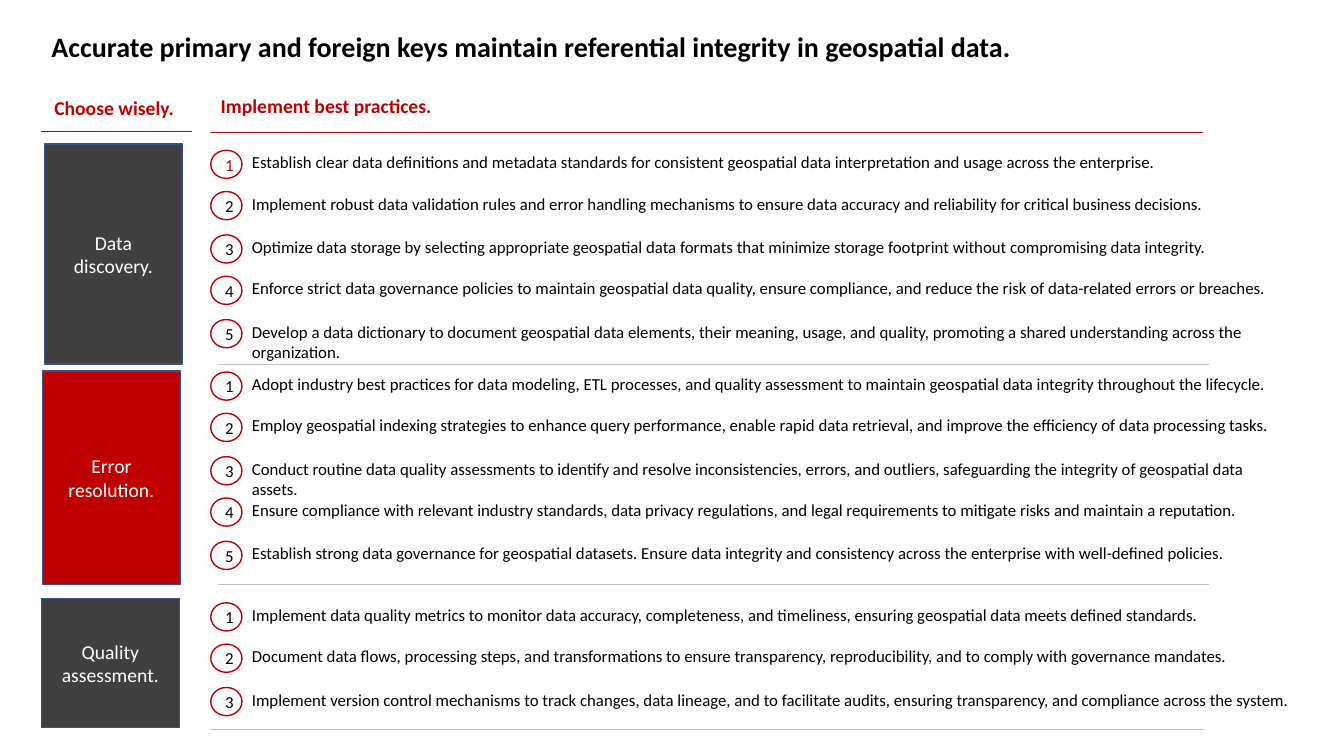
from pptx import Presentation
from pptx.dml.color import RGBColor
from pptx.enum.shapes import MSO_CONNECTOR, MSO_SHAPE
from pptx.enum.text import MSO_ANCHOR, MSO_AUTO_SIZE, PP_ALIGN
from pptx.oxml.ns import qn
from pptx.util import Inches, Pt

RECT, OVAL = MSO_SHAPE.RECTANGLE, MSO_SHAPE.OVAL
STRAIGHT = MSO_CONNECTOR.STRAIGHT
TOP, MIDDLE = MSO_ANCHOR.TOP, MSO_ANCHOR.MIDDLE
LEFT, CENTER = PP_ALIGN.LEFT, PP_ALIGN.CENTER
GROW = MSO_AUTO_SIZE.SHAPE_TO_FIT_TEXT

COLORS = {"red": "C00000", "dark": "404040", "edge": "325491",
          "rule": "BFBFBF", "black": "000000", "white": "FFFFFF"}

# Content
TITLE = "Accurate primary and foreign keys maintain referential integrity in geospatial data."
HEADS = [  # text, box, rule (left, right, top)
    ("Choose wisely.", (0.44, 0.9, 1.66, 0.34), (0.41, 1.9, 1.3)),
    ("Implement best practices.", (2.09, 0.88, 9.96, 0.34), (2.09, 11.93, 1.31)),
]
GROUPS = [
    {"name": "Data discovery.", "fill": "dark", "box": (0.44, 1.43, 1.37, 2.18),
     "first": 1.49, "rule": (2.16, 11.99, 3.61), "items": [
        "Establish clear data definitions and metadata standards for consistent geospatial data interpretation and usage across the enterprise.",
        "Implement robust data validation rules and error handling mechanisms to ensure data accuracy and reliability for critical business decisions.",
        "Optimize data storage by selecting appropriate geospatial data formats that minimize storage footprint without compromising data integrity.",
        "Enforce strict data governance policies to maintain geospatial data quality, ensure compliance, and reduce the risk of data-related errors or breaches.",
        "Develop a data dictionary to document geospatial data elements, their meaning, usage, and quality, promoting a shared understanding across the organization.",
     ]},
    {"name": "Error resolution.", "fill": "red", "box": (0.42, 3.68, 1.37, 2.12),
     "first": 3.69, "rule": (2.16, 11.99, 5.8), "items": [
        "Adopt industry best practices for data modeling, ETL processes, and quality assessment to maintain geospatial data integrity throughout the lifecycle.",
        "Employ geospatial indexing strategies to enhance query performance, enable rapid data retrieval, and improve the efficiency of data processing tasks.",
        "Conduct routine data quality assessments to identify and resolve inconsistencies, errors, and outliers, safeguarding the integrity of geospatial data assets.",
        "Ensure compliance with relevant industry standards, data privacy regulations, and legal requirements to mitigate risks and maintain a reputation.",
        "Establish strong data governance for geospatial datasets. Ensure data integrity and consistency across the enterprise with well-defined policies.",
     ]},
    {"name": "Quality assessment.", "fill": "dark", "box": (0.41, 5.94, 1.37, 1.28),
     "first": 5.98, "rule": (2.09, 11.93, 7.24), "items": [
        "Implement data quality metrics to monitor data accuracy, completeness, and timeliness, ensuring geospatial data meets defined standards.",
        "Document data flows, processing steps, and transformations to ensure transparency, reproducibility, and to comply with governance mandates.",
        "Implement version control mechanisms to track changes, data lineage, and to facilitate audits, ensuring transparency, and compliance across the system.",
     ]},
]
STEPS = (0, 0.41, 0.84, 1.25, 1.68)  # row offsets inside a group


def color(name):
    return RGBColor.from_string(COLORS[name])


def write(shape, text, size, ink, bold=False, align=LEFT, anchor=TOP):
    frame = shape.text_frame
    frame.text = text
    frame.word_wrap = True
    frame.vertical_anchor = anchor
    para = frame.paragraphs[0]
    para.alignment = align
    font = para.runs[0].font
    font.name, font.size, font.bold = "Calibri", Pt(size), bold
    font.color.rgb = color(ink)


def add_text(slide, box, text, size, ink, bold=False):
    shape = slide.shapes.add_textbox(*map(Inches, box))
    write(shape, text, size, ink, bold)
    shape.text_frame.auto_size = GROW


def add_block(slide, kind, box, fill, edge, text, size, ink):
    shape = slide.shapes.add_shape(kind, *map(Inches, box))
    shape.shadow.inherit = False
    shape.fill.solid()
    shape.fill.fore_color.rgb = color(fill)
    shape.line.color.rgb = color(edge)
    shape.line.width = Pt(1)
    write(shape, text, size, ink, align=CENTER, anchor=MIDDLE)


def add_rule(slide, span, ink):
    left, right, top = map(Inches, span)
    rule = slide.shapes.add_connector(STRAIGHT, left, top, right, top)
    rule.line.color.rgb = color(ink)
    rule.line.width = Pt(0.5)
    props = rule._element.spPr
    props.append(props.makeelement(qn("a:effectLst"), {}))


def main():
    deck = Presentation()
    deck.slide_width, deck.slide_height = Inches(13.33), Inches(7.5)
    slide = deck.slides.add_slide(deck.slide_layouts[5])

    # Title
    title = slide.shapes.title
    title.left, title.top, title.width, title.height = map(Inches, (0.41, 0.24, 12.35, 0.44))
    write(title, TITLE, 20, "black", bold=True)
    title.text_frame.auto_size = GROW

    # Column heads
    for text, box, span in HEADS:
        add_text(slide, box, text, 14, "red", bold=True)
        add_rule(slide, span, "red")

    # Groups: side block, numbered rows, closing rule
    for index, group in enumerate(GROUPS):
        add_block(slide, RECT, group["box"], group["fill"], "edge", group["name"], 14, "white")
        for row, (step, item) in enumerate(zip(STEPS, group["items"])):
            top = group["first"] + step
            ink = "red" if index == row == 0 else "black"
            add_block(slide, OVAL, (2.09, top, 0.31, 0.28), "white", "red", str(row + 1), 12, ink)
            add_text(slide, (2.4, top - 0.03, 10.5, 0.3), item, 12, "black")
        add_rule(slide, group["rule"], "rule")

    deck.save("out.pptx")


if __name__ == "__main__":
    main()
